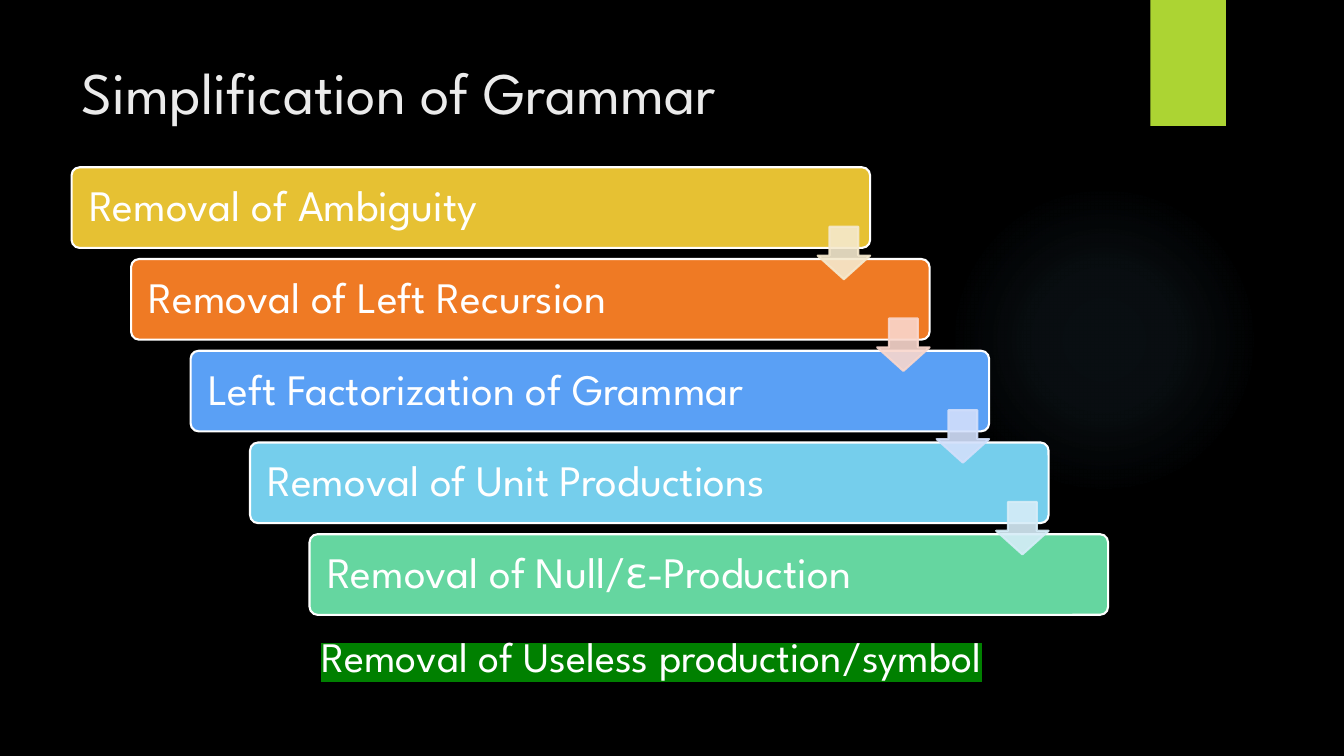
from lxml import etree
from pptx import Presentation
from pptx.dml.color import RGBColor
from pptx.enum.shapes import MSO_SHAPE
from pptx.enum.text import MSO_ANCHOR
from pptx.oxml import parse_xml
from pptx.oxml.ns import nsdecls, qn
from pptx.util import Inches, Pt

# Content: each step with its bar colour, and the colours of the arrows between
TITLE = "Simplification of Grammar"
STEPS = [
    ("Removal of Ambiguity", RGBColor(0xE6, 0xC1, 0x33)),
    ("Removal of Left Recursion", RGBColor(0xEF, 0x7A, 0x24)),
    ("Left Factorization of Grammar", RGBColor(0x5A, 0xA0, 0xF5)),
    ("Removal of Unit Productions", RGBColor(0x75, 0xCE, 0xEC)),
    ("Removal of Null/ε-Production", RGBColor(0x65, 0xD6, 0xA0)),
]
ARROW_COLORS = [
    RGBColor(0xF5, 0xE9, 0xCE),
    RGBColor(0xF9, 0xD7, 0xCD),
    RGBColor(0xD2, 0xDF, 0xFB),
    RGBColor(0xD6, 0xED, 0xF8),
]
LAST_STEP = "Removal of Useless production/symbol"

# Style
FONT = "League Spartan"
BLACK = RGBColor(0x00, 0x00, 0x00)
WHITE = RGBColor(0xFF, 0xFF, 0xFF)
TITLE_COLOR = RGBColor(0xEB, 0xEB, 0xEB)
TAB_GREEN = RGBColor(0xAC, 0xD4, 0x33)
GLOW_BLUE = RGBColor(0x7A, 0xC4, 0xF0)
HIGHLIGHT_GREEN = RGBColor(0x00, 0x80, 0x00)
GLOW_STOPS = [(0, 7), (36, 6), (69, 0)]  # position and opacity, in percent
ARROW_OPACITY = 90

# Staircase geometry, in inches
BAR_LEFT, BAR_TOP = 0.71, 1.66
BAR_WIDTH, BAR_HEIGHT = 7.92, 0.8
STEP_X, STEP_Y = 0.59, 0.91
ARROW_SIZE, ARROW_DROP = 0.52, 0.59

presentation = Presentation()
presentation.slide_width = Inches(13.33)
presentation.slide_height = Inches(7.5)
slide = presentation.slides.add_slide(presentation.slide_layouts[6])
slide.background.fill.solid()
slide.background.fill.fore_color.rgb = BLACK


def add_shape(kind, left, top, width, height, fill, line=None):
    shape = slide.shapes.add_shape(
        kind, Inches(left), Inches(top), Inches(width), Inches(height))
    shape.shadow.inherit = False
    shape.fill.solid()
    shape.fill.fore_color.rgb = fill
    if line is None:
        shape.line.fill.background()
    else:
        shape.line.color.rgb = line
        shape.line.width = Pt(1.5)
    return shape


def add_text(shape, text, size, color):
    shape.text_frame.word_wrap = True
    run = shape.text_frame.paragraphs[0].add_run()
    run.text = text
    run.font.size = Pt(size)
    run.font.name = FONT
    run.font.color.rgb = color
    return run


def add_text_box(left, top, width, height, text, size, color):
    box = slide.shapes.add_textbox(
        Inches(left), Inches(top), Inches(width), Inches(height))
    return add_text(box, text, size, color)


def set_opacity(shape, percent):
    for color in shape._element.spPr.iter(qn("a:srgbClr")):
        etree.SubElement(color, qn("a:alpha"), val=str(percent * 1000))


# Background glow and corner tab
glow = add_shape(MSO_SHAPE.OVAL, 9.41, 1.83, 3.08, 3.08, GLOW_BLUE)
stops = "".join(
    f'<a:gs pos="{position * 1000}"><a:srgbClr val="{GLOW_BLUE}">'
    f'<a:alpha val="{opacity * 1000}"/></a:srgbClr></a:gs>'
    for position, opacity in GLOW_STOPS)
gradient = parse_xml(
    f'<a:gradFill {nsdecls("a")}><a:gsLst>{stops}</a:gsLst><a:path path="circle">'
    '<a:fillToRect l="50000" t="50000" r="50000" b="50000"/></a:path></a:gradFill>')
glow_properties = glow._element.spPr
glow_properties.replace(glow_properties.find(qn("a:solidFill")), gradient)
add_shape(MSO_SHAPE.RECTANGLE, 11.41, 0, 0.75, 1.25, TAB_GREEN)

# Title
add_text_box(0.71, 0.5, 10.29, 1.53, TITLE, 42, TITLE_COLOR)

# Bars, each one step right and down
for index, (text, color) in enumerate(STEPS):
    bar = add_shape(
        MSO_SHAPE.ROUNDED_RECTANGLE, BAR_LEFT + index * STEP_X,
        BAR_TOP + index * STEP_Y, BAR_WIDTH, BAR_HEIGHT, color, WHITE)
    bar.adjustments[0] = 0.1
    frame = bar.text_frame
    frame.vertical_anchor = MSO_ANCHOR.MIDDLE
    frame.margin_left = frame.margin_right = Inches(0.15)
    add_text(bar, text, 31, WHITE)
    frame.paragraphs[0].alignment = 1
    frame.paragraphs[0].line_spacing = 0.9

# Arrows, flush with the right end of the bar they leave
for index, color in enumerate(ARROW_COLORS):
    arrow = add_shape(
        MSO_SHAPE.DOWN_ARROW,
        BAR_LEFT + BAR_WIDTH - ARROW_SIZE + index * STEP_X,
        BAR_TOP + ARROW_DROP + index * STEP_Y,
        ARROW_SIZE, ARROW_SIZE, color, color)
    # This preset takes the shaft width first, then the head length
    arrow.adjustments[0] = 0.55
    arrow.adjustments[1] = 0.45
    set_opacity(arrow, ARROW_OPACITY)

# Highlighted last step
last_run = add_text_box(3.09, 6.21, 9.07, 0.61, LAST_STEP, 30, WHITE)
highlight = parse_xml(
    f'<a:highlight {nsdecls("a")}><a:srgbClr val="{HIGHLIGHT_GREEN}"/></a:highlight>')
last_run.font._element.find(qn("a:solidFill")).addnext(highlight)

presentation.save("out.pptx")
